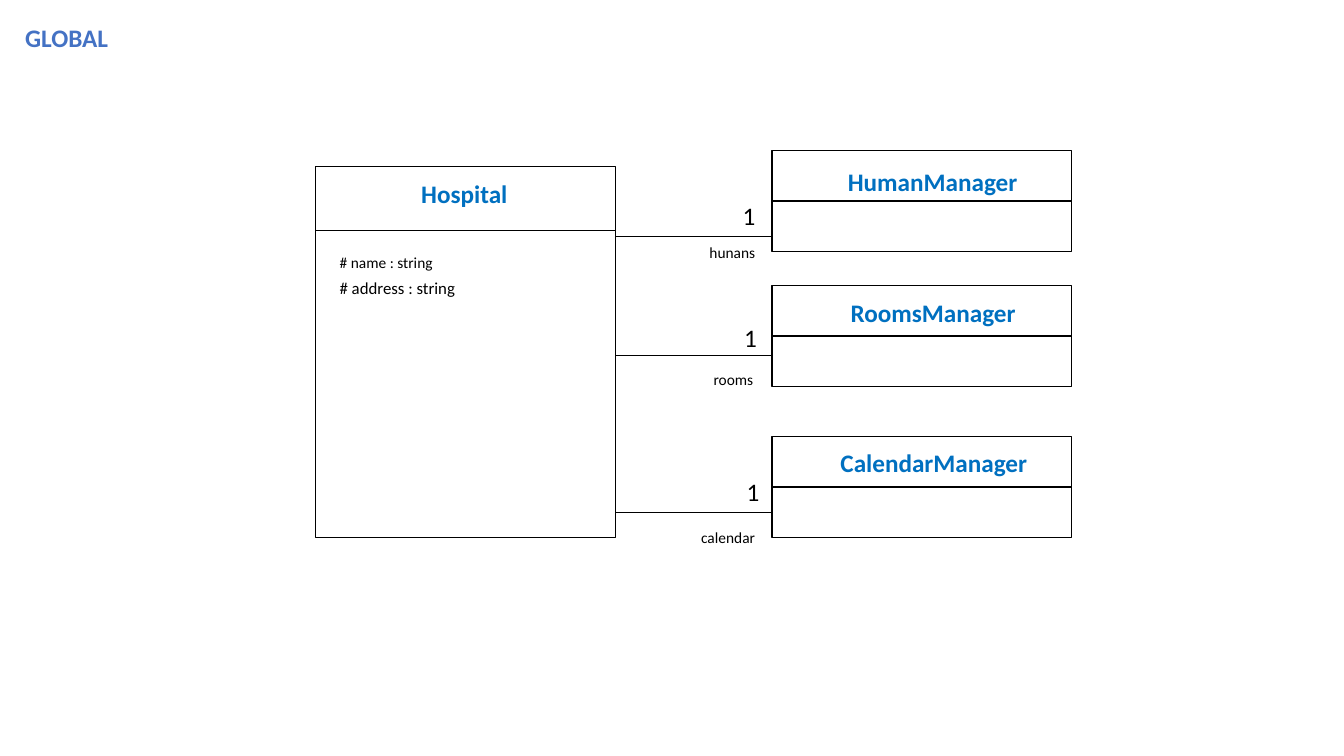
import pptx
import pptx.util
import pptx.dml.color
import pptx.enum.shapes
import pptx.enum.text
import pptx.oxml.ns
import lxml.etree

Pt = pptx.util.Pt
BLACK = pptx.dml.color.RGBColor(0x00, 0x00, 0x00)
WHITE = pptx.dml.color.RGBColor(0xFF, 0xFF, 0xFF)
CLASS_BLUE = pptx.dml.color.RGBColor(0x00, 0x70, 0xC0)
HEADING_BLUE = pptx.dml.color.RGBColor(0x44, 0x72, 0xC4)

deck = pptx.Presentation()
deck.slide_width, deck.slide_height = Pt(960), Pt(540)
slide = deck.slides.add_slide(deck.slide_layouts[6])


def add_text(text, left, top, width, height, size=18, color=BLACK, bold=False):
    label = slide.shapes.add_textbox(Pt(left), Pt(top), Pt(width), Pt(height))
    frame = label.text_frame
    frame.word_wrap = False
    frame.auto_size = pptx.enum.text.MSO_AUTO_SIZE.SHAPE_TO_FIT_TEXT
    run = frame.paragraphs[0].add_run()
    run.text = text
    run.font.name = "Calibri"
    run.font.size = Pt(size)
    run.font.bold = bold
    run.font.color.rgb = color


def add_line(left, right, y):
    line = slide.shapes.add_connector(
        pptx.enum.shapes.MSO_CONNECTOR.STRAIGHT, Pt(left), Pt(y), Pt(right), Pt(y))
    line.line.color.rgb = BLACK
    line.line.width = Pt(1)
    lxml.etree.SubElement(line._element.spPr, pptx.oxml.ns.qn("a:effectLst"))
    return line


# Class boxes: name, box left, top, height, divider offset, name left, top, width
BOX_WIDTH = 214
HOSPITAL_LEFT, MANAGER_LEFT = 225.5, 551.5
MANAGER_HEIGHT = 72
classes = [
    ("Hospital", HOSPITAL_LEFT, 119, 265, 45.5, 293.8, 124, 78),
    ("HumanManager", MANAGER_LEFT, 107.5, MANAGER_HEIGHT, 36, 598.5, 115.5, 137),
    ("RoomsManager", MANAGER_LEFT, 204, MANAGER_HEIGHT, 36, 600.5, 209, 134.5),
    ("CalendarManager", MANAGER_LEFT, 312, MANAGER_HEIGHT, 36, 593.3, 315.7, 149),
]
for name, left, top, height, divider_offset, name_left, name_top, name_width in classes:
    class_box = slide.shapes.add_shape(
        pptx.enum.shapes.MSO_SHAPE.RECTANGLE, Pt(left), Pt(top), Pt(BOX_WIDTH), Pt(height))
    class_box.shadow.inherit = False
    class_box.fill.solid()
    class_box.fill.fore_color.rgb = WHITE
    class_box.line.color.rgb = BLACK
    class_box.line.width = Pt(1)
    divider = add_line(left, left + BOX_WIDTH, top + divider_offset)
    if divider_offset * 2 == height:
        divider.begin_connect(class_box, 1)
        divider.end_connect(class_box, 3)
    add_text(name, name_left, name_top, name_width, 29, color=CLASS_BLUE, bold=True)

# Associations: role, line y, multiplicity left and top, role left, top, width
associations = [
    ("hunans", 169, 523.3, 139.8, 499.7, 170, 47.5),
    ("rooms", 254, 524.5, 226.8, 502.6, 260.5, 43.2),
    ("calendar", 366, 526.3, 337, 493.7, 373.5, 53.3),
]
for role, y, one_left, one_top, role_left, role_top, role_width in associations:
    add_line(HOSPITAL_LEFT + BOX_WIDTH, MANAGER_LEFT, y)
    add_text("1", one_left, one_top, 24, 29)
    add_text(role, role_left, role_top, role_width, 21, size=11)

# Hospital attributes
add_text("# name : string", 235.5, 177.5, 82, 21, size=11)
add_text("# address : string", 235.5, 195, 98, 22, size=12)

# Heading
add_text("GLOBAL", 10.8, 12.3, 74, 29, color=HEADING_BLUE, bold=True)

deck.save("out.pptx")
